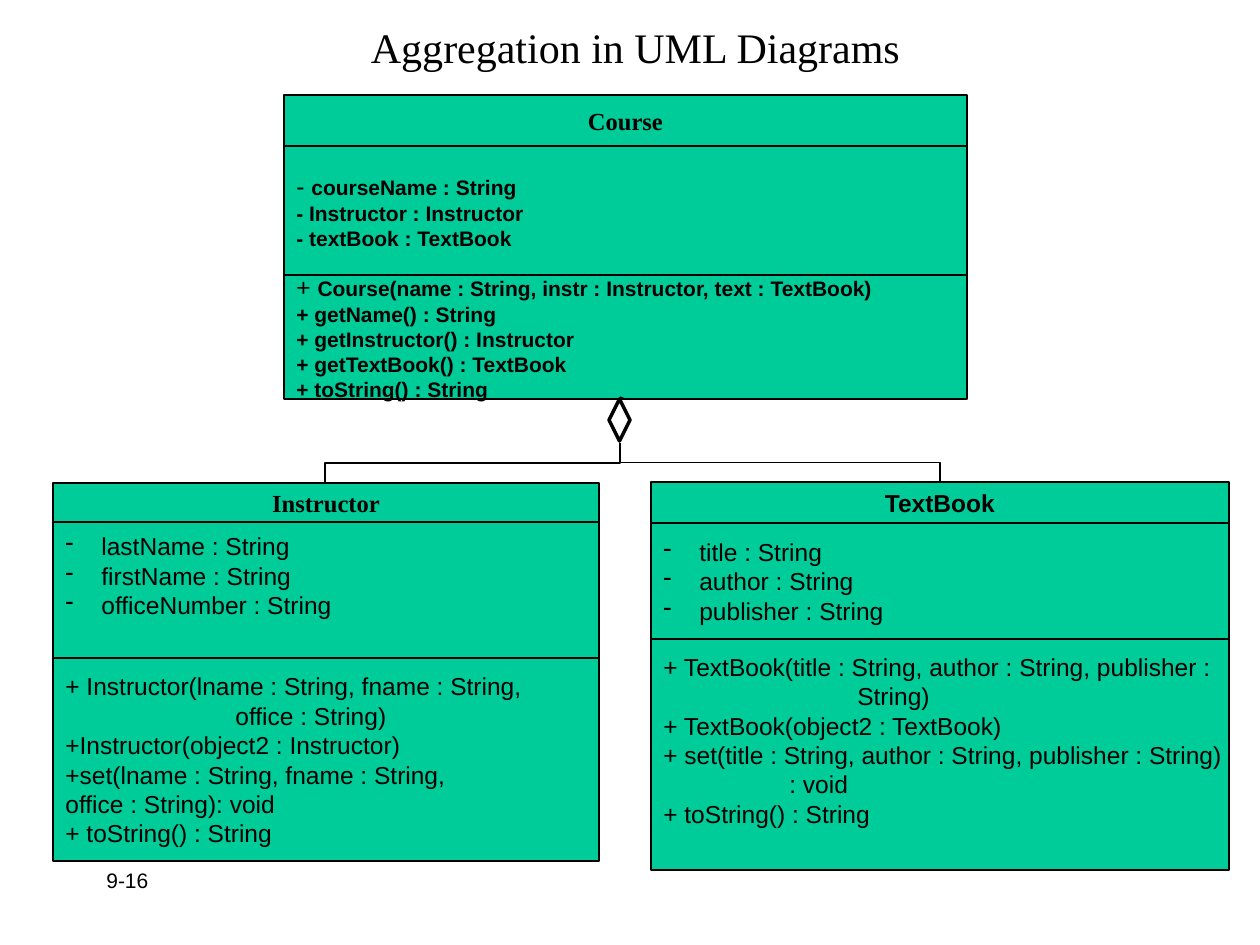
from lxml import etree
from pptx import Presentation
from pptx.dml.color import RGBColor
from pptx.enum.shapes import MSO_CONNECTOR, MSO_SHAPE
from pptx.enum.text import MSO_ANCHOR, PP_ALIGN
from pptx.oxml.ns import qn
from pptx.util import Pt

PX = 914400 / 126
RECT, GEM = MSO_SHAPE.RECTANGLE, MSO_SHAPE.DIAMOND
LINE, ELBOW = MSO_CONNECTOR.STRAIGHT, MSO_CONNECTOR.ELBOW
MID = MSO_ANCHOR.MIDDLE
LEFT, MIDDLE = PP_ALIGN.LEFT, PP_ALIGN.CENTER
SANS, SERIF = "Arial", "Times New Roman"
HEX = {"fill": "00CC99", "ink": "000000"}
COLOR = {name: RGBColor.from_string(code) for name, code in HEX.items()}


def px(*nums):
    return [round(n * PX) for n in nums]


def put(frame, rows, align=LEFT, dash=False):
    """Fill a frame; a row is an indent and runs of text, size, bold, font."""
    for i, (indent, *runs) in enumerate(rows):
        para = frame.paragraphs[0] if i == 0 else frame.add_paragraph()
        para.alignment = align
        prop = para._p.get_or_add_pPr()
        prop.set("marL", str(px(indent)[0]))
        prop.set("indent", str(px(-indent if dash else 0)[0]))
        if dash:
            etree.SubElement(prop, qn("a:buChar")).set("char", "-")
        for text, size, bold, face in runs:
            run = para.add_run()
            run.text = text
            run.font.size = Pt(size)
            run.font.bold = bold
            run.font.name = face
            run.font.color.rgb = COLOR["ink"]


deck = Presentation()
deck.slide_width, deck.slide_height = px(1260, 945)
slide = deck.slides.add_slide(deck.slide_layouts[5])
shapes = slide.shapes

# Title
title = shapes.title
title.left, title.top, title.width, title.height = px(42, 10, 1187, 73)
title.text_frame.vertical_anchor = MID
put(title.text_frame, [(0, ("Aggregation in UML Diagrams", 24, False, SERIF))], MIDDLE)

# Page number
page = shapes.add_textbox(*px(94, 861, 262, 63))
page.text_frame.word_wrap = True
put(page.text_frame, [(0, ("9-16", 12, False, SANS))])

# Classes: left, width, edges of the three parts, name, font, fields, methods
# Each of the last two holds the space kept free below and (indent, text) rows
classes = [
    (284, 683, (95, 146, 275, 399), "Course", SERIF,
     (0, [(0, "- ", "courseName : String"),
          (0, "- Instructor : Instructor"),
          (0, "- textBook : TextBook")]),
     (0, [(0, "+ ", "Course(name : String, instr : Instructor, text : TextBook)"),
          (0, "+ getName() : String"),
          (0, "+ getInstructor() : Instructor"),
          (0, "+ getTextBook() : TextBook"),
          (0, "+ toString() : String")])),
    (651, 578, (482, 523, 639, 870), "TextBook", SANS,
     (0, [(36, "title : String"),
          (36, "author : String"),
          (36, "publisher : String")]),
     (29, [(0, "+ TextBook(title : String, author : String, publisher :"),
           (194, "String)"),
           (0, "+ TextBook(object2 : TextBook)"),
           (0, "+ set(title : String, author : String, publisher : String)"),
           (126, ": void"),
           (0, "+ toString() : String")])),
    (53, 546, (483, 522, 658, 861), "Instructor", SERIF,
     (29, [(36, "lastName : String"),
           (36, "firstName : String"),
           (36, "officeNumber : String")]),
     (0, [(0, "+ Instructor(lname : String, fname : String,"),
          (170, "office : String)"),
          (0, "+Instructor(object2 : Instructor)"),
          (0, "+set(lname : String, fname : String,"),
          (0, "office : String): void"),
          (0, "+ toString() : String")])),
]
for left, wide, edges, name, face, fields, methods in classes:
    whole = name == "Course"
    for part, (top, low) in enumerate(zip(edges, edges[1:])):
        box = shapes.add_shape(RECT, *px(left, top, wide, low - top))
        box.shadow.inherit = False
        box.fill.solid()
        box.fill.fore_color.rgb = COLOR["fill"]
        box.line.color.rgb = COLOR["ink"]
        box.line.width = Pt(0.75)
        frame = box.text_frame
        frame.word_wrap = True
        frame.vertical_anchor = MID
        if part == 0:
            put(frame, [(0, (name, 14, True, face))], MIDDLE)
            continue
        free, lines = (fields, methods)[part - 1]
        frame.margin_right, frame.margin_bottom = px(0, 6 + free)
        rows = []
        for indent, *texts in lines:
            runs = [(text, 12 if whole else 14, whole, SANS) for text in texts]
            if len(runs) == 2:
                runs[0] = (texts[0], 14, False, SANS)
            rows.append((indent, *runs))
        put(frame, rows, dash=part == 1 and not whole)

# Aggregation diamond
gem = shapes.add_shape(GEM, *px(609, 399, 21, 42))
gem.shadow.inherit = False
gem.fill.background()
gem.line.color.rgb = COLOR["ink"]
gem.line.width = Pt(2)

# Links: a short stroke, then elbows turned to leave the diamond downwards
links = [shapes.add_connector(LINE, *px(625, 399, 620, 397))]
x, y = 620, 443
for goal, foot in ((940, 482), (325, 483)):
    mid, half = (x + goal) / 2, (y + foot) / 2
    dx, dy = abs(goal - x) / 2, (foot - y) / 2
    side = 1 if goal > x else -1
    link = shapes.add_connector(
        ELBOW, *px(mid + side * dy, half - dx, mid - side * dy, half + dx))
    turn = 270 if side > 0 else 90
    link._element.spPr.find(qn("a:xfrm")).set("rot", str(turn * 60000))
    links.append(link)
for link in links:
    link.line.color.rgb = COLOR["ink"]
    link.line.width = Pt(0.75)
    etree.SubElement(link._element.spPr, qn("a:effectLst"))

deck.save("out.pptx")
